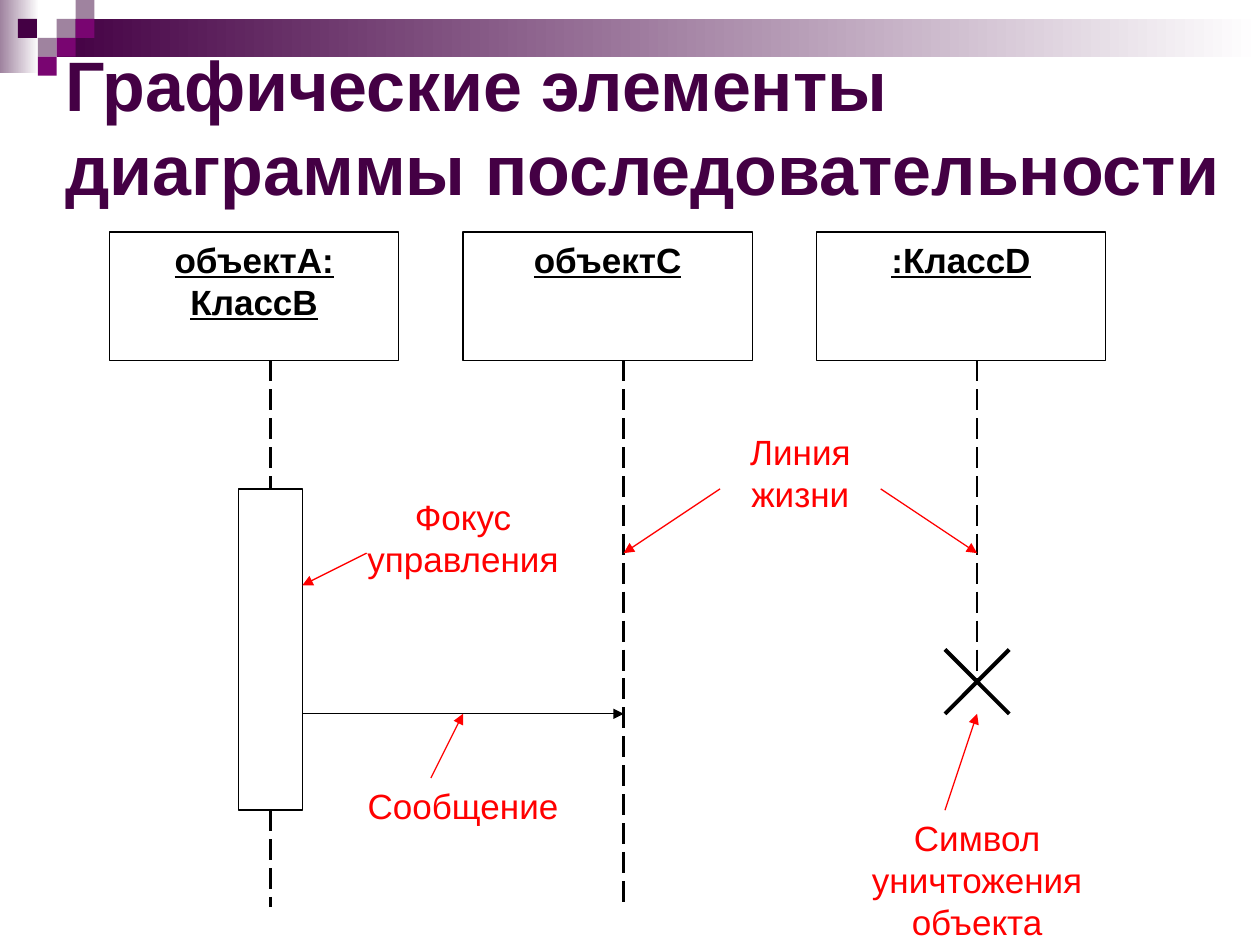
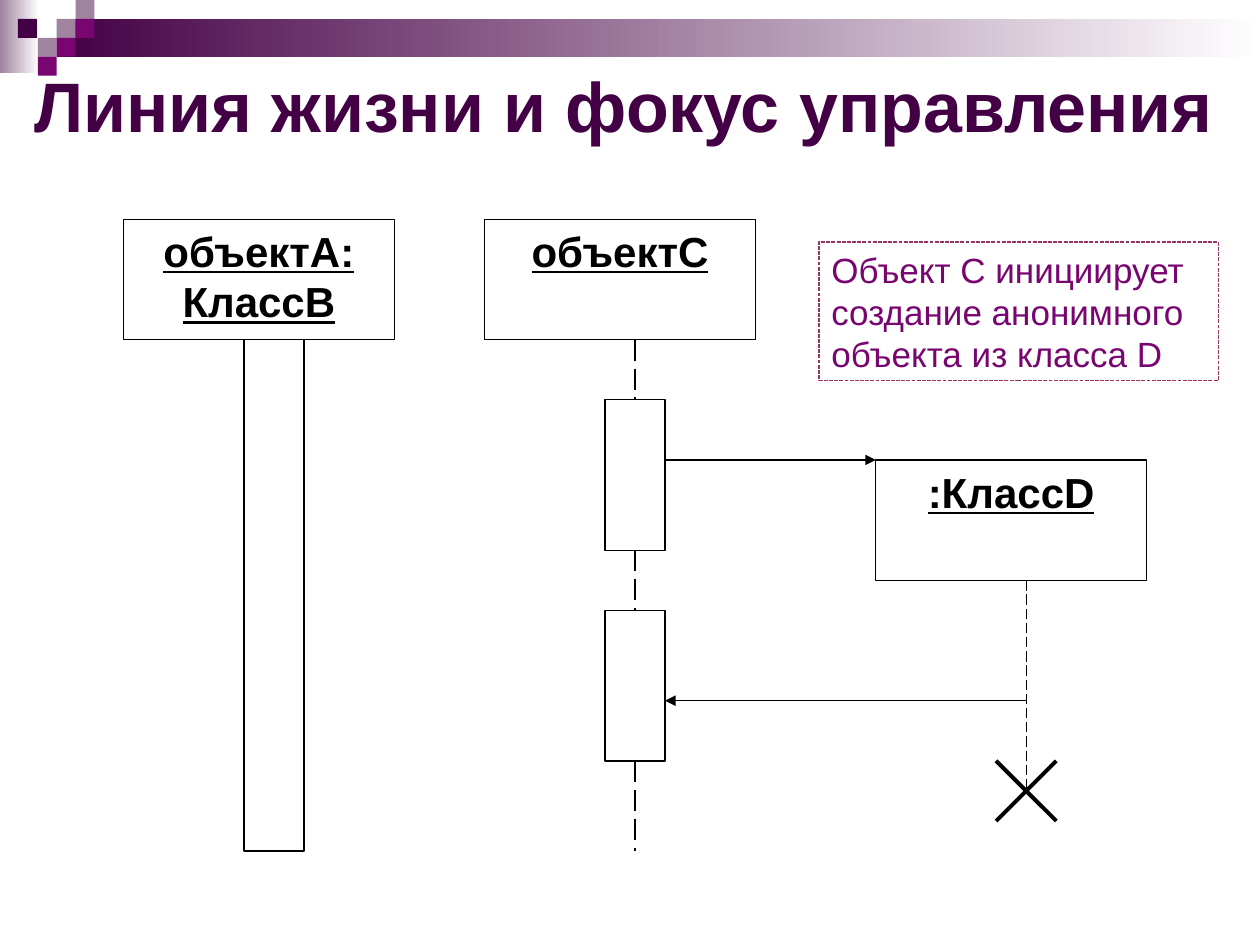
from dataclasses import dataclass

from lxml.etree import SubElement
from pptx import Presentation
from pptx.dml.color import RGBColor
from pptx.enum.dml import MSO_LINE as Dash
from pptx.enum.shapes import MSO_CONNECTOR as Connector, MSO_SHAPE as Shape
from pptx.enum.text import MSO_ANCHOR as Anchor, MSO_AUTO_SIZE as AutoSize, PP_ALIGN as Align
from pptx.oxml.ns import qn
from pptx.util import Inches, Pt


@dataclass(frozen=True)
class Theme:
    font: str = "Arial"
    white: str = "FFFFFF"
    ink: str = "000000"
    plum: str = "440044"
    violet: str = "790571"
    mauve: str = "9F839F"
    callout: str = "FF0000"
    note_border: str = "993366"
    title_size: int = 40
    label_size: int = 20
    thin: float = 0.75
    medium: float = 1.5
    thick: float = 2.25


THEME = Theme()
TITLE_ONLY = 5


def rgb(code):
    return RGBColor.from_string(code)


def write(frame, text, size, color, bold=False, underline=False, align=Align.CENTER, anchor=Anchor.TOP):
    frame.text = text
    frame.word_wrap = True
    frame.auto_size = AutoSize.NONE
    frame.vertical_anchor = anchor
    for paragraph in frame.paragraphs:
        paragraph.alignment = align
        for run in paragraph.runs:
            font = run.font
            font.name, font.size = THEME.font, Pt(size)
            font.bold, font.underline = bold, underline
            font.color.rgb = rgb(color)


def add_box(slide, box, fill=None, border=None):
    rect = slide.shapes.add_shape(Shape.RECTANGLE, *map(Inches, box))
    rect.shadow.inherit = False
    if fill:
        rect.fill.solid()
        rect.fill.fore_color.rgb = rgb(fill)
    else:
        rect.fill.background()
    if border:
        rect.line.color.rgb = rgb(border)
        rect.line.width = Pt(THEME.thin)
    else:
        rect.line.fill.background()
    return rect


def add_fading_band(slide, box, color):
    band = add_box(slide, box)
    band.fill.gradient()
    band.fill.gradient_angle = 0
    for stop, shade in zip(band.fill.gradient_stops, (color, THEME.white)):
        stop.color.rgb = rgb(shade)
    return band


def decorate_layout(layout, slide):
    tile = 0.15
    tiles = [
        (3, 1, THEME.mauve), (4, 0, THEME.mauve), (4, 1, THEME.violet),
        (2, 2, THEME.mauve), (0.95, 1, THEME.plum), (3, 2, THEME.violet),
        (2, 3, THEME.violet),
    ]
    ornaments = [
        add_fading_band(slide, (0, 0, 0.31, 0.58), THEME.mauve),
        add_fading_band(slide, (0.45, tile, 9.55, 2 * tile), THEME.plum),
    ]
    for column, row, color in tiles:
        ornaments.append(add_box(slide, (column * tile, row * tile, tile, tile), color))
    for ornament in ornaments:
        layout.shapes.element.append(ornament.element)


def add_title(slide, text, box):
    title = slide.shapes.title
    title.left, title.top, title.width, title.height = map(Inches, box)
    write(title.text_frame, text, THEME.title_size, THEME.plum,
          bold=True, align=Align.LEFT, anchor=Anchor.MIDDLE)


class SequenceDiagram:
    def __init__(self, slide, left, top, width, columns, name_size):
        self.slide, self.left, self.top = slide, left, top
        self.cell = width / columns
        self.name_size = name_size

    def point(self, column, row):
        return self.left + column * self.cell, self.top + row * self.cell

    def area(self, column, row, columns, rows):
        return *self.point(column, row), columns * self.cell, rows * self.cell

    def participant(self, name, column, row=0):
        head = add_box(self.slide, self.area(column, row, 9, 4), THEME.white, THEME.ink)
        write(head.text_frame, name, self.name_size, THEME.ink, bold=True, underline=True)

    def focus(self, column, row, rows):
        add_box(self.slide, self.area(column, row, 2, rows), THEME.white, THEME.ink)

    def line(self, start, end, color=THEME.ink, width=THEME.thin, dash=None, arrow=False):
        ends = map(Inches, (*self.point(*start), *self.point(*end)))
        link = self.slide.shapes.add_connector(Connector.STRAIGHT, *ends)
        link.line.color.rgb = rgb(color)
        link.line.width = Pt(width)
        if dash:
            link.line.dash_style = dash
        properties = link.element.spPr
        if arrow:
            SubElement(properties.find(qn("a:ln")), qn("a:tailEnd"), type="triangle")
        SubElement(properties, qn("a:effectLst"))

    def lifeline(self, column, first, last, width=THEME.medium):
        self.line((column, first), (column, last), width=width, dash=Dash.LONG_DASH)

    def message(self, row, sender, receiver):
        self.line((sender, row), (receiver, row), arrow=True)

    def destruction(self, column, row):
        for slope in (1, -1):
            self.line((column - 1, row - slope), (column + 1, row + slope), width=THEME.thick)

    def callout(self, text, area, *pointers):
        label = self.slide.shapes.add_textbox(*map(Inches, self.area(*area)))
        write(label.text_frame, text, THEME.label_size, THEME.callout)
        for start, end in pointers:
            self.line(start, end, THEME.callout, arrow=True)


def build_elements_slide(slide):
    add_title(slide, "Графические элементы диаграммы последовательности", (0.42, 0.33, 9.75, 1.33))
    diagram = SequenceDiagram(slide, 0.87, 1.84, 8.16, 32, name_size=20)
    for index, name in enumerate(("объектА:\nКлассВ", "объектС", ":КлассD")):
        diagram.participant(name, 11 * index)
    for column, first, last in ((5, 4, 8), (5, 18, 21), (16, 4, 21), (27, 4, 14)):
        diagram.lifeline(column, first, last)
    diagram.focus(4, 8, 10)
    diagram.destruction(27, 14)
    diagram.message(15, 6, 16)
    diagram.callout("Линия жизни", (18, 6, 7, 4), ((19, 8), (16, 10)), ((24, 8), (27, 10)))
    diagram.callout("Символ уничтожения объекта", (22, 18, 10, 5), ((26, 18), (27, 15)))
    diagram.callout("Фокус управления", (6, 8, 10, 4), ((8, 10), (6, 11)))
    diagram.callout("Сообщение", (6, 17, 10, 3), ((10, 17), (11, 15)))


def add_note(slide, text, box):
    note = add_box(slide, box, border=THEME.note_border)
    note.line.dash_style = Dash.SQUARE_DOT
    write(note.text_frame, text, THEME.label_size, THEME.violet, align=Align.LEFT)


def build_lifeline_slide(slide):
    add_title(slide, "Линия жизни и фокус управления", (0.17, 0.08, 10, 1.5))
    diagram = SequenceDiagram(slide, 0.98, 1.74, 8.12, 34, name_size=24)
    for name, column, row in (("объектА:\nКлассВ", 0, 0), ("объектС", 12, 0), (":КлассD", 25, 8)):
        diagram.participant(name, column, row)
    for first, last in ((4, 6), (11, 13), (18, 21)):
        diagram.lifeline(17, first, last)
    diagram.lifeline(30, 12, 19, THEME.thin)
    for column, row, rows in ((4, 4, 17), (16, 6, 5), (16, 13, 5)):
        diagram.focus(column, row, rows)
    diagram.message(8, 18, 25)
    diagram.message(16, 30, 18)
    diagram.destruction(30, 19)
    add_note(slide, "Объект С инициирует создание анонимного объекта из класса D",
             (6.5, 1.92, 3.17, 1.1))


def main():
    deck = Presentation()
    deck.slide_width, deck.slide_height = Inches(10), Inches(7.5)
    layout = deck.slide_layouts[TITLE_ONLY]
    elements, lifeline = (deck.slides.add_slide(layout) for _ in range(2))
    decorate_layout(layout, elements)
    build_elements_slide(elements)
    build_lifeline_slide(lifeline)
    deck.save("out.pptx")


if __name__ == "__main__":
    main()
